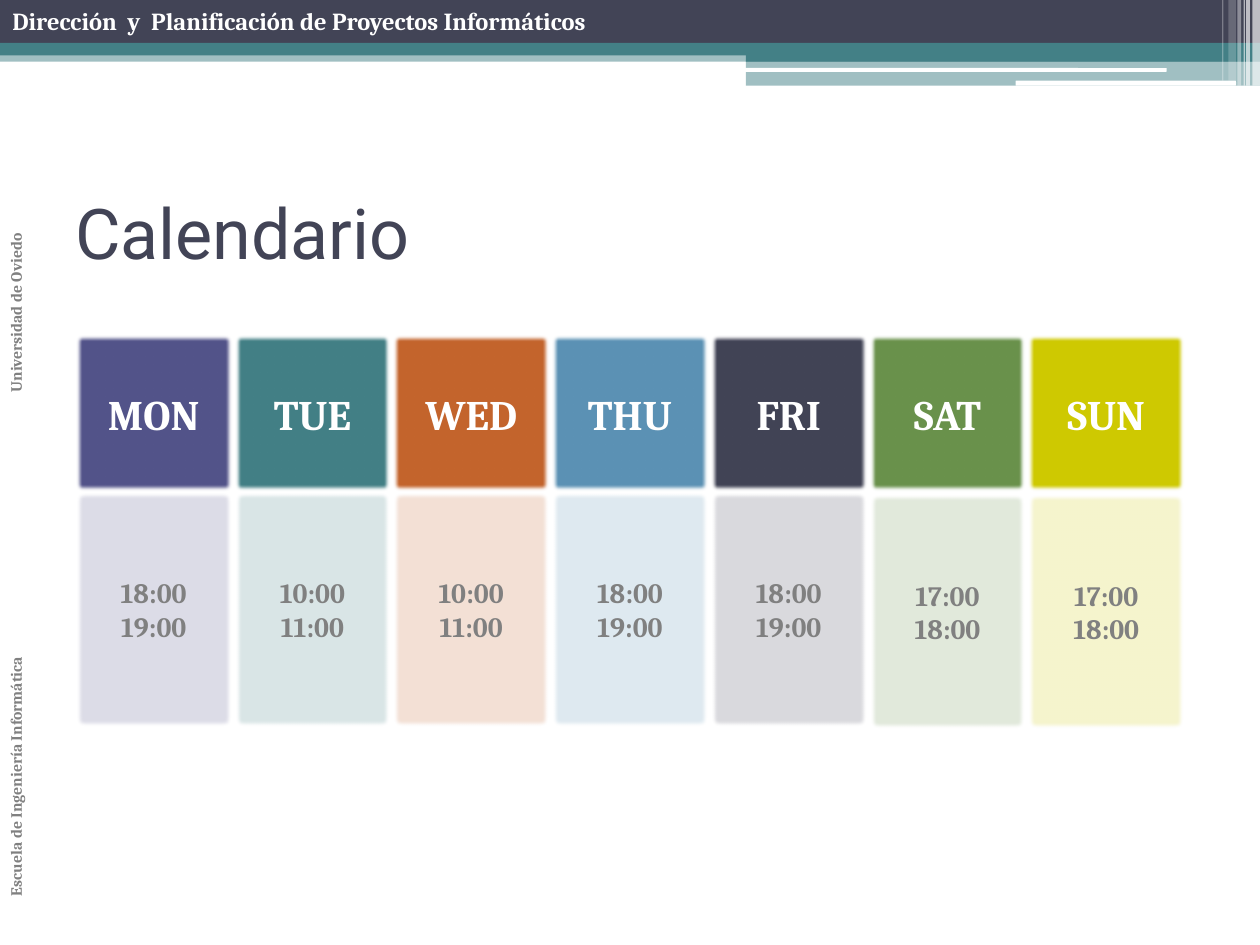
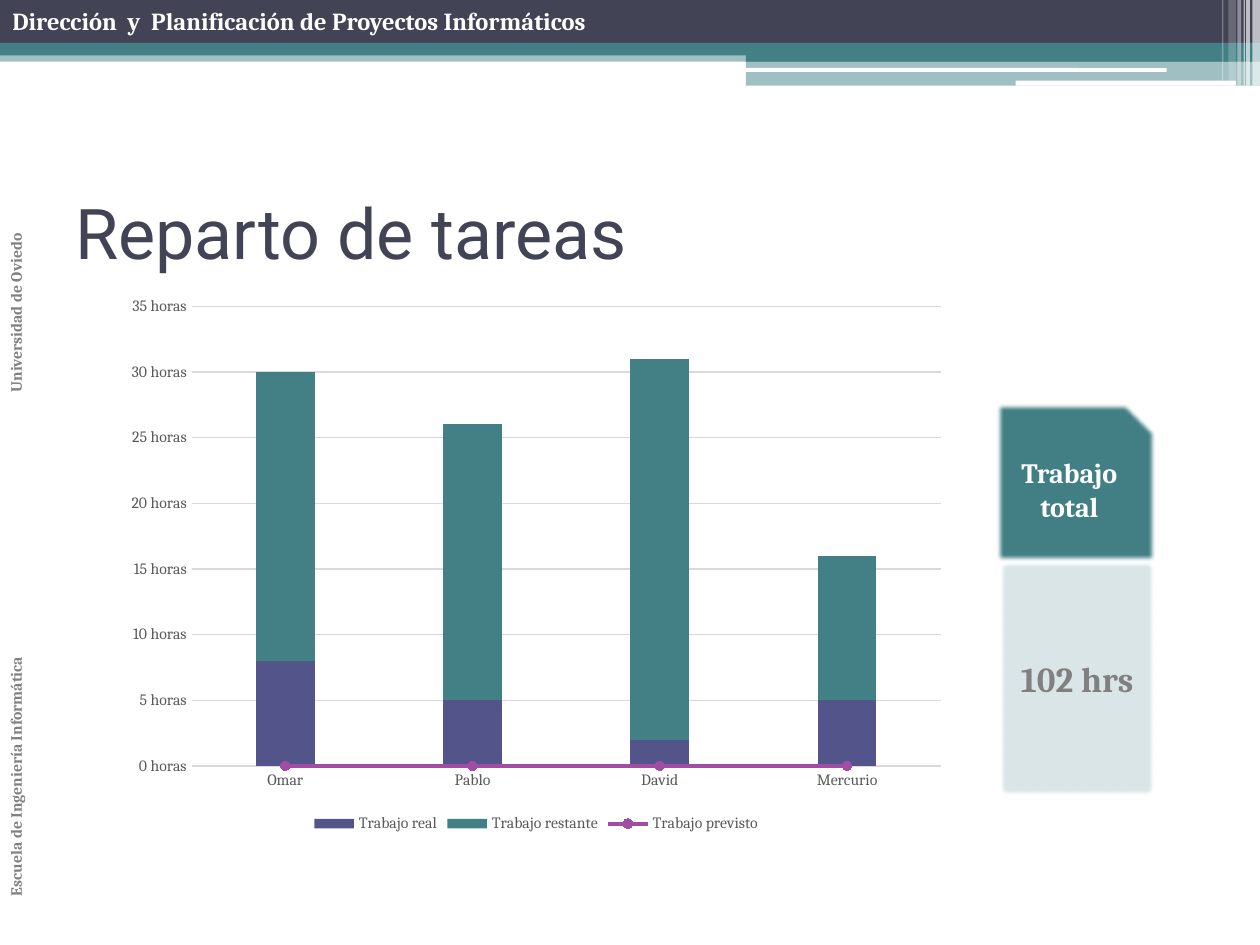
"""Build the calendar and task-sharing slides of a project planning deck."""
from dataclasses import dataclass

from lxml.etree import SubElement
from pptx import Presentation
from pptx.chart.axis import _BaseAxis as Axis
from pptx.chart.chart import Chart
from pptx.chart.data import CategoryChartData
from pptx.dml.color import RGBColor
from pptx.dml.fill import FillFormat
from pptx.dml.line import LineFormat
from pptx.enum.chart import XL_CHART_TYPE as ChartType
from pptx.enum.chart import XL_LEGEND_POSITION as LegendPosition
from pptx.enum.chart import XL_MARKER_STYLE as MarkerStyle
from pptx.enum.chart import XL_TICK_MARK as TickMark
from pptx.enum.shapes import MSO_SHAPE as ShapeType
from pptx.enum.text import MSO_ANCHOR as Anchor
from pptx.enum.text import PP_ALIGN as Align
from pptx.oxml import parse_xml
from pptx.oxml.ns import nsdecls, qn
from pptx.shapes.autoshape import Shape
from pptx.slide import Slide
from pptx.text.text import Font, TextFrame
from pptx.util import Inches, Pt


@dataclass(frozen=True)
class Theme:
    heading: str = "Roboto"
    body: str = "Cambria"
    dark: str = "424456"
    teal: str = "438086"
    indigo: str = "53548A"
    orange: str = "C4652D"
    blue: str = "5C92B5"
    green: str = "6A924C"
    yellow: str = "CFCA00"
    purple: str = "A04DA3"
    white: str = "FFFFFF"
    gray: str = "808080"
    black: str = "000000"
    axis_text: str = "595959"
    grid: str = "D9D9D9"
    title_size: float = 40
    day_size: float = 24
    total_size: float = 20
    text_size: float = 16
    header_size: float = 14
    chart_size: float = 10
    small_size: float = 9


@dataclass(frozen=True)
class Box:
    left: float
    top: float
    width: float
    height: float

    def lengths(self) -> tuple[int, ...]:
        return tuple(Inches(v) for v in (self.left, self.top, self.width, self.height))


@dataclass(frozen=True)
class Band:
    box: Box
    color: str
    alpha: int = 100
    kind: ShapeType = ShapeType.RECTANGLE


@dataclass(frozen=True)
class Style:
    size: float
    color: str
    name: str
    bold: bool = True


@dataclass(frozen=True)
class Day:
    name: str
    color: str
    hours: str


THEME = Theme()
TILE = 1.26
HOURS_HEIGHT = 1.89
SOFT_EDGE = Pt(2.5)

BANDS = (
    Band(Box(0, 0.4, 10, 0.09), THEME.teal, 50),
    Band(Box(0, 0, 10, 0.34), THEME.dark),
    Band(Box(0, 0.34, 10, 0.1), THEME.teal),
    Band(Box(5.92, 0.39, 4.08, 0.1), THEME.teal),
    Band(Box(5.92, 0.48, 4.08, 0.2), THEME.teal, 50),
    Band(Box(5.91, 0.54, 3.35, 0.03), THEME.white, kind=ShapeType.ROUNDED_RECTANGLE),
    Band(Box(8.06, 0.64, 1.75, 0.04), THEME.white, kind=ShapeType.ROUNDED_RECTANGLE),
    Band(Box(9.94, 0, 0.06, 0.68), THEME.white, 65),
    Band(Box(9.89, 0, 0.03, 0.68), THEME.white, 65),
    Band(Box(9.87, 0, 0.01, 0.68), THEME.white, 60),
    Band(Box(9.82, 0, 0.03, 0.68), THEME.white, 40),
    Band(Box(9.75, 0, 0.06, 0.64), THEME.white, 20),
    Band(Box(9.7, 0, 0.01, 0.64), THEME.white, 30),
)

DAYS = (
    Day("MON", THEME.indigo, "18:00\n19:00"),
    Day("TUE", THEME.teal, "10:00\n11:00"),
    Day("WED", THEME.orange, "10:00\n11:00"),
    Day("THU", THEME.blue, "18:00\n19:00"),
    Day("FRI", THEME.dark, "18:00\n19:00"),
    Day("SAT", THEME.green, "17:00\n18:00"),
    Day("SUN", THEME.yellow, "17:00\n18:00"),
)
WEEKEND = ("SAT", "SUN")

WORKERS = ("Omar", "Pablo", "David", "Mercurio")
WORK = {
    "Trabajo real": (8, 5, 2, 5),
    "Trabajo restante": (22, 21, 29, 11),
    "Trabajo previsto": (0, 0, 0, 0),
}


def rgb(color: str) -> RGBColor:
    return RGBColor.from_string(color)


def set_fill(fill: FillFormat, color: str) -> None:
    fill.solid()
    fill.fore_color.rgb = rgb(color)


def set_line(line: LineFormat, color: str, width: float) -> None:
    line.color.rgb = rgb(color)
    line.width = Pt(width)


def set_font(font: Font, style: Style) -> None:
    font.size = Pt(style.size)
    font.name = style.name
    font.bold = style.bold
    font.color.rgb = rgb(style.color)


def write(tf: TextFrame, text: str, style: Style, align: Align = Align.LEFT) -> None:
    tf.text = text
    tf.word_wrap = True
    for p in tf.paragraphs:
        p.alignment = align
        for r in p.runs:
            set_font(r.font, style)


def add_band(slide: Slide, band: Band) -> Shape:
    sp = slide.shapes.add_shape(band.kind, *band.box.lengths())
    sp.shadow.inherit = False
    sp.line.fill.background()
    set_fill(sp.fill, band.color)
    if band.alpha < 100:
        color = sp.fill._xPr.find(f".//{qn('a:srgbClr')}")
        SubElement(color, qn("a:alpha"), val=str(band.alpha * 1000))
    return sp


def add_tile(slide: Slide, band: Band, text: str, style: Style) -> None:
    sp = add_band(slide, band)
    effects = sp._element.spPr.find(qn("a:effectLst"))
    SubElement(effects, qn("a:softEdge"), rad=str(SOFT_EDGE))
    sp.text_frame.vertical_anchor = Anchor.MIDDLE
    write(sp.text_frame, text, style, Align.CENTER)


def add_text(slide: Slide, box: Box, text: str, style: Style) -> TextFrame:
    tf = slide.shapes.add_textbox(*box.lengths()).text_frame
    write(tf, text, style)
    return tf


def add_sidebar(slide: Slide) -> None:
    tf = add_text(slide, Box(0, 0.54, 0.35, 6.67),
                  "Escuela de Ingeniería Informática\tUniversidad de Oviedo",
                  Style(THEME.small_size, THEME.gray, THEME.body))
    tf._txBody.bodyPr.set("vert", "vert270")
    stops = SubElement(tf.paragraphs[0]._p.get_or_add_pPr(), qn("a:tabLst"))
    SubElement(stops, qn("a:tab"), pos=str(Inches(4)), algn="l")


def add_base_slide(prs: Presentation, title: str) -> Slide:
    slide = prs.slides.add_slide(prs.slide_layouts[6])
    for band in BANDS:
        add_band(slide, band)
    add_text(slide, Box(0, 0, 6.18, 0.34),
             "Dirección  y  Planificación de Proyectos Informáticos",
             Style(THEME.header_size, THEME.white, THEME.body))
    add_sidebar(slide)
    tf = add_text(slide, Box(0.5, 1.25, 9, 1.17), title,
                  Style(THEME.title_size, THEME.dark, THEME.heading, False))
    tf.vertical_anchor = Anchor.MIDDLE
    return slide


def add_calendar(slide: Slide) -> None:
    day_style = Style(THEME.day_size, THEME.white, THEME.body)
    hours_style = Style(THEME.text_size, THEME.gray, THEME.body)
    for i, day in enumerate(DAYS):
        left = 0.59 + i * TILE
        hours_top = 3.91 if day.name in WEEKEND else 3.89
        add_tile(slide, Band(Box(left, 2.65, TILE, TILE), day.color), day.name, day_style)
        add_tile(slide, Band(Box(left, hours_top, TILE, HOURS_HEIGHT), day.color, 20),
                 day.hours, hours_style)


def move_last_series_to_line(chart: Chart) -> None:
    bars = chart.plots[0]._element
    ser = bars.findall(qn("c:ser"))[-1]
    for invert in ser.findall(qn("c:invertIfNegative")):
        ser.remove(invert)
    line = parse_xml(f'<c:lineChart {nsdecls("c")}><c:grouping val="standard"/>'
                     '<c:varyColors val="0"/><c:marker val="1"/></c:lineChart>')
    line.insert(2, ser)
    for axis in bars.findall(qn("c:axId")):
        SubElement(line, qn("c:axId"), val=axis.get("val"))
    bars.addnext(line)


def format_axis(axis: Axis, style: Style) -> None:
    axis.major_tick_mark = axis.minor_tick_mark = TickMark.NONE
    set_font(axis.tick_labels.font, style)


def add_work_chart(slide: Slide) -> None:
    data = CategoryChartData()
    data.categories = WORKERS
    for name, values in WORK.items():
        data.add_series(name, values)
    box = Box(0.91, 2.27, 6.69, 4.38)
    chart = slide.shapes.add_chart(ChartType.COLUMN_STACKED, *box.lengths(), data).chart
    move_last_series_to_line(chart)
    set_font(chart.font, Style(THEME.chart_size, THEME.black, THEME.body, False))
    chart.has_title = False

    bars, line = chart.plots
    bars.gap_width, bars.overlap, bars.vary_by_categories = 219, 100, False
    for series, color in zip(bars.series, (THEME.indigo, THEME.teal)):
        set_fill(series.format.fill, color)
    planned = line.series[0]
    planned.smooth = False
    set_line(planned.format.line, THEME.purple, 2.25)
    planned.marker.style, planned.marker.size = MarkerStyle.CIRCLE, 5
    set_fill(planned.marker.format.fill, THEME.purple)
    set_line(planned.marker.format.line, THEME.purple, 0.75)

    label_style = Style(THEME.small_size, THEME.axis_text, THEME.body, False)
    workers, hours = chart.category_axis, chart.value_axis
    for axis in (workers, hours):
        format_axis(axis, label_style)
    set_line(workers.format.line, THEME.grid, 0.75)
    hours.format.line.fill.background()
    hours.minimum_scale, hours.maximum_scale, hours.major_unit = 0, 35, 5
    set_line(hours.major_gridlines.format.line, THEME.grid, 0.75)
    hours.tick_labels.number_format = '#,##0_ "horas"'
    hours.tick_labels.number_format_is_linked = False

    chart.has_legend = True
    chart.legend.position = LegendPosition.BOTTOM
    chart.legend.include_in_layout = False
    set_font(chart.legend.font, label_style)


def add_total(slide: Slide) -> None:
    add_tile(slide, Band(Box(7.91, 3.2, TILE, TILE), THEME.teal, kind=ShapeType.SNIP_1_RECTANGLE),
             "Trabajo total", Style(THEME.text_size, THEME.white, THEME.body))
    add_tile(slide, Band(Box(7.92, 4.44, TILE, HOURS_HEIGHT), THEME.teal, 20),
             "102 hrs", Style(THEME.total_size, THEME.gray, THEME.body))


def main() -> None:
    prs = Presentation()
    prs.slide_width, prs.slide_height = Inches(10), Inches(7.5)
    add_calendar(add_base_slide(prs, "Calendario"))
    tasks = add_base_slide(prs, "Reparto de tareas")
    add_total(tasks)
    add_work_chart(tasks)
    prs.save("out.pptx")


if __name__ == "__main__":
    main()
